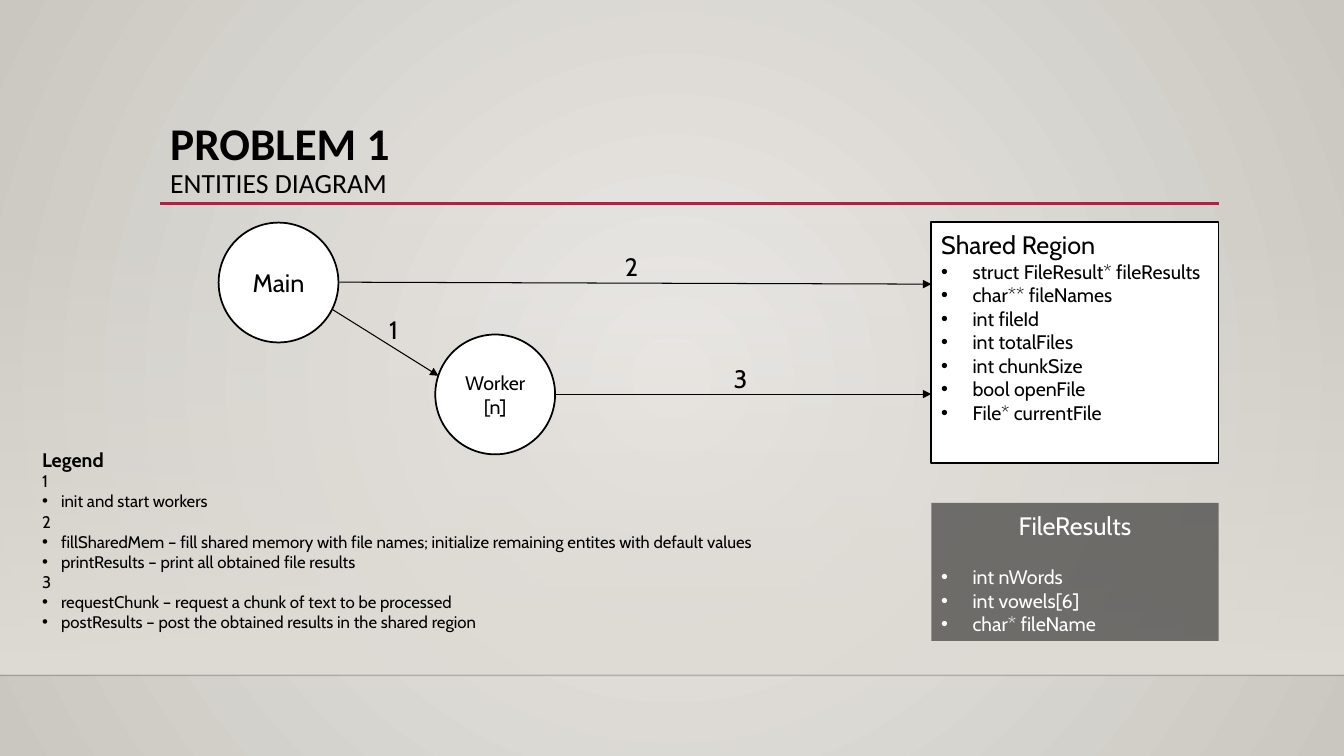
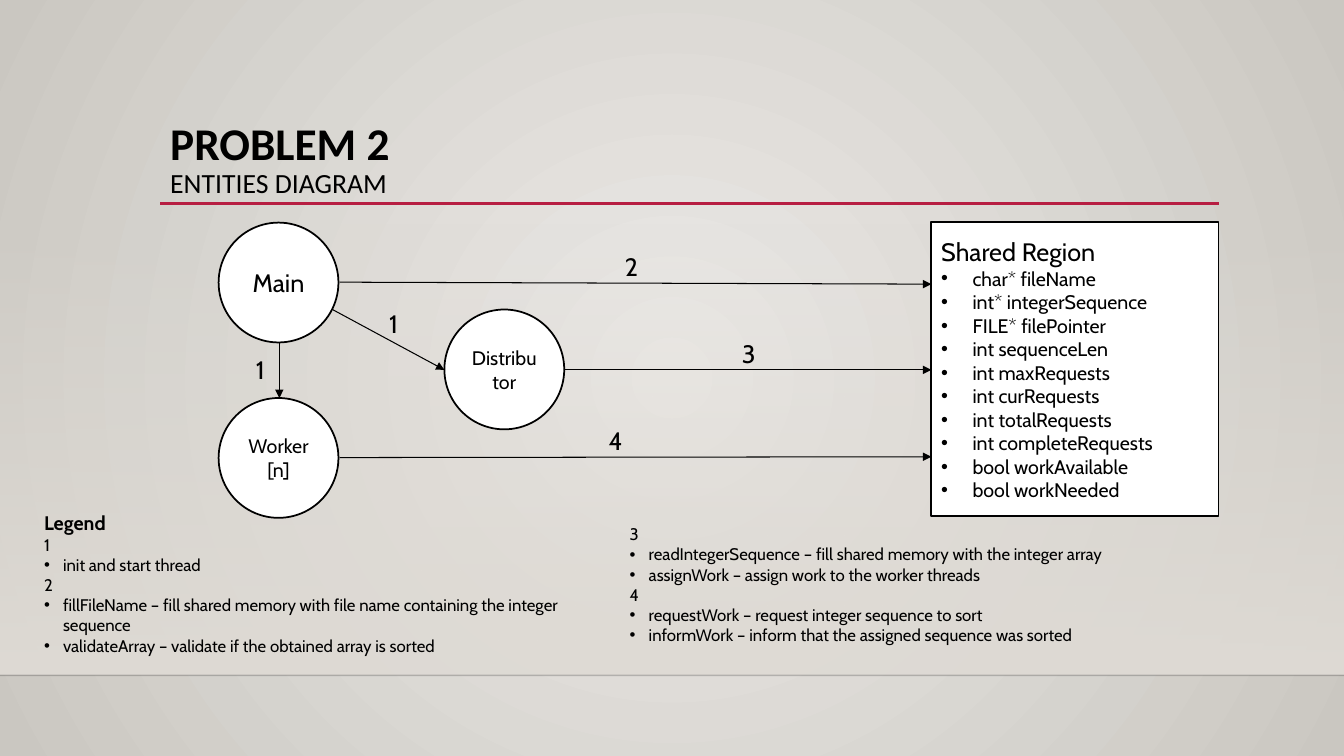
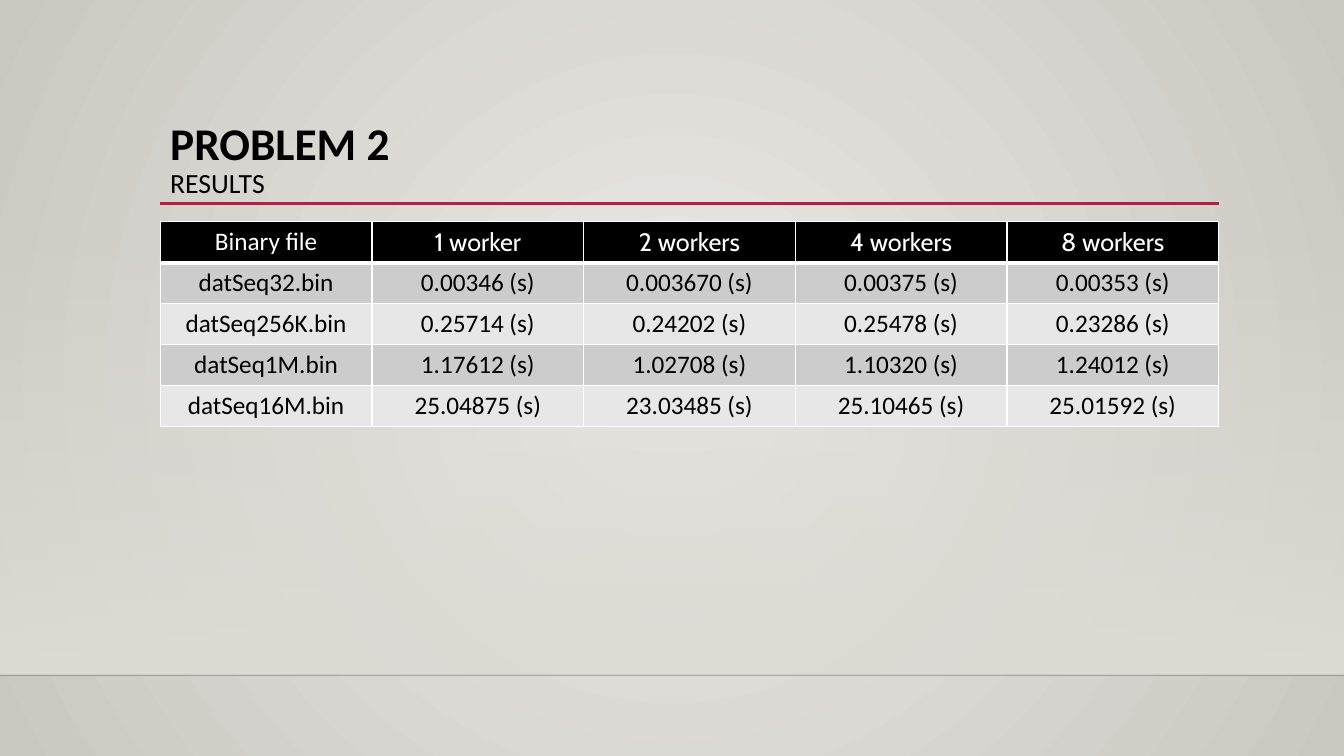
from lxml.etree import SubElement
from pptx import Presentation
from pptx.dml.color import RGBColor
from pptx.enum.shapes import MSO_CONNECTOR, MSO_SHAPE
from pptx.enum.text import MSO_ANCHOR, PP_ALIGN
from pptx.oxml.ns import qn
from pptx.util import Cm, Pt

BLACK, WHITE, RED = "000000", "FFFFFF", "B71E42"
GLOW, EDGE, FLOOR = "ECEAE7", "CAC7C1", "DFDBD5"
ROW_FILLS = ("CCCCCC", "E7E7E7")
BODY_FONT, TITLE_FONT = "Cabin", "Calibri"

WIDTH, HEIGHT = 33.87, 19.05
LEFT, CONTENT_WIDTH = 4.04, 26.67
PANEL_LEFT, PANEL_TOP, PANEL_WIDTH = 23.47, 5.59, 7.24
CIRCLE = 3.02
PANEL_INDENT, LEGEND_INDENT = 0.79, 0.48


def color(code):
    return RGBColor.from_string(code)


def set_alpha(color_element, percent):
    SubElement(color_element, qn("a:alpha"), val=str(percent * 1000))


# Text

def add_span(para, text, size, code=BLACK, bold=False, font=BODY_FONT):
    span = para.add_run()
    span.text = text
    span.font.size = Pt(size)
    span.font.name = font
    span.font.bold = bold
    span.font.color.rgb = color(code)


def add_para(frame, text, size, align=PP_ALIGN.LEFT, indent=None, **style):
    para = frame.paragraphs[0]
    if para.runs:
        para = frame.add_paragraph()
    para.alignment = align
    if indent:
        properties = para._p.get_or_add_pPr()
        properties.set("marL", str(Cm(indent)))
        properties.set("indent", str(-Cm(indent)))
        SubElement(properties, qn("a:buFont"), typeface="Arial")
        SubElement(properties, qn("a:buChar"), char="\u2022")
    add_span(para, text, size, **style)


def add_box(page, left, top, width, height):
    box = page.shapes.add_textbox(Cm(left), Cm(top), Cm(width), Cm(height))
    box.text_frame.word_wrap = True
    return box.text_frame


# Shapes and lines

def add_block(page, kind, left, top, width, height, fill=WHITE, outline=BLACK):
    block = page.shapes.add_shape(kind, Cm(left), Cm(top), Cm(width), Cm(height))
    block.shadow.inherit = False
    block.fill.solid()
    block.fill.fore_color.rgb = color(fill)
    if outline:
        block.line.color.rgb = color(outline)
        block.line.width = Pt(1.25)
    else:
        block.line.fill.background()
    block.text_frame.word_wrap = True
    block.text_frame.vertical_anchor = MSO_ANCHOR.MIDDLE
    return block


def add_line(page, start, end, code=BLACK, weight=0.75):
    line = page.shapes.add_connector(
        MSO_CONNECTOR.STRAIGHT, *(Cm(value) for value in start + end))
    line.line.color.rgb = color(code)
    line.line.width = Pt(weight)
    SubElement(line.element.spPr, qn("a:effectLst"))
    return line


def add_arrow(page, start, end):
    arrow = add_line(page, start, end)
    SubElement(arrow.element.spPr.find(qn("a:ln")), qn("a:tailEnd"), type="triangle")


def set_gradient(fill, start, end):
    fill.gradient()
    for stop, code in zip(fill.gradient_stops, (start, end)):
        stop.color.rgb = color(code)


# Shared look

def style_background(master):
    set_gradient(master.background.fill, GLOW, EDGE)
    gradient = master.element.find(".//" + qn("a:gradFill"))
    gradient.remove(gradient.find(qn("a:lin")))
    circle = SubElement(gradient, qn("a:path"), path="circle")
    center = {side: "50000" for side in "ltrb"}
    SubElement(circle, qn("a:fillToRect"), **center)


def style_layout(layout, page):
    """Draw the shared parts on a page and move them to its layout."""
    band = add_block(page, MSO_SHAPE.RECTANGLE, 0, 5.61, WIDTH, 11.4, outline=None)
    set_gradient(band.fill, FLOOR, FLOOR)
    band.fill.gradient_angle = 270
    set_alpha(band.element.find(".//" + qn("a:srgbClr")), 0)

    horizon = add_line(page, (0, 17.02), (WIDTH, 17.02), "000001", 1)
    set_alpha(horizon.element.find(".//" + qn("a:srgbClr")), 20)

    rule = add_line(page, (LEFT, 5.13), (LEFT + CONTENT_WIDTH, 5.13), RED, 2.5)
    for part in (band, horizon, rule):
        layout.shapes.element.append(part.element)


def add_title(page, title, subtitle):
    frame = add_box(page, LEFT, 2.9, CONTENT_WIDTH, 2.26)
    frame.vertical_anchor = MSO_ANCHOR.BOTTOM
    para = frame.paragraphs[0]
    para.line_spacing = 0.9
    add_span(para, title, 32.4, bold=True, font=TITLE_FONT)
    para.add_line_break()
    add_span(para, subtitle, 19.8, font=TITLE_FONT)


# Diagram parts

def add_entity(page, name, left, top, size=14):
    circle = add_block(page, MSO_SHAPE.OVAL, left, top, CIRCLE, CIRCLE)
    add_para(circle.text_frame, name, size, PP_ALIGN.CENTER)


def add_label(page, number, left, top):
    frame = add_box(page, left, top, 0.41, 1.02)
    frame.word_wrap = False
    frame.margin_left, frame.margin_right = Cm(0.13), 0
    add_para(frame, number, 18)


def add_shared_region(page, height, fields, bottom_margin=0.13):
    panel = add_block(page, MSO_SHAPE.RECTANGLE,
                      PANEL_LEFT, PANEL_TOP, PANEL_WIDTH, height)
    frame = panel.text_frame
    frame.margin_bottom = Cm(bottom_margin)
    add_para(frame, "Shared Region", 18)
    for field in fields:
        add_para(frame, field, 14, indent=PANEL_INDENT)


def add_file_results(page):
    panel = add_block(page, MSO_SHAPE.RECTANGLE, PANEL_LEFT, 12.67, PANEL_WIDTH, 3.48,
                      fill=BLACK, outline=None)
    set_alpha(panel.element.find(".//" + qn("a:srgbClr")), 50)
    heading = add_box(page, PANEL_LEFT, 12.73, PANEL_WIDTH, 1.02)
    add_para(heading, "FileResults", 18, PP_ALIGN.CENTER, code=WHITE)
    members = add_box(page, PANEL_LEFT, 14.12, PANEL_WIDTH, 2.06)
    for member in ("int nWords", "int vowels[6]", "char* fileName"):
        add_para(members, member, 14, indent=PANEL_INDENT, code=WHITE)


def add_legend(page, left, top, width, height, steps, heading=None):
    frame = add_box(page, left, top, width, height)
    if heading:
        add_para(frame, heading, 14, bold=True)
    for number, actions in steps.items():
        add_para(frame, number, 12)
        for action in actions:
            add_para(frame, action, 12, indent=LEGEND_INDENT)


# Table

def set_borders(cell, weights):
    properties = cell._tc.get_or_add_tcPr()
    for index, (side, weight) in enumerate(zip("LRTB", weights)):
        border = SubElement(properties, qn("a:ln" + side), w=str(Pt(weight)))
        fill = SubElement(border, qn("a:solidFill"))
        SubElement(fill, qn("a:srgbClr"), val=WHITE)
        properties.insert(index, border)


def add_results_table(page, rows):
    table = page.shapes.add_table(
        len(rows), len(rows[0]), Cm(LEFT), Cm(PANEL_TOP),
        Cm(CONTENT_WIDTH), Cm(1.03 * len(rows))).table
    table.first_row = table.horz_banding = False
    for row_index, values in enumerate(rows):
        header = row_index == 0
        for column_index, value in enumerate(values):
            cell = table.cell(row_index, column_index)
            cell.fill.solid()
            cell.fill.fore_color.rgb = color(
                BLACK if header else ROW_FILLS[(row_index - 1) % 2])
            add_para(cell.text_frame, value, 18, PP_ALIGN.CENTER,
                     code=WHITE if header else BLACK,
                     font=BODY_FONT if header and column_index else TITLE_FONT)
            set_borders(cell, (1, 1, 3 if row_index == 1 else 1, 3 if header else 1))


# Pages

def build_problem_1(page):
    add_title(page, "PROBLEM 1", "ENTITIES DIAGRAM")
    add_shared_region(page, 6.07, (
        "struct FileResult* fileResults", "char** fileNames", "int fileId",
        "int totalFiles", "int chunkSize", "bool openFile", "File* currentFile",
    ), bottom_margin=0.9)
    add_file_results(page)
    add_entity(page, "Main", 5.51, 5.61, 18)
    add_entity(page, "Worker[n]", 10.97, 8.43)
    add_arrow(page, (8.56, 7.11), (PANEL_LEFT, 7.16))
    add_arrow(page, (8.38, 7.8), (11.05, 9.47))
    add_arrow(page, (14.02, 9.93), (PANEL_LEFT, 9.93))
    add_label(page, "1", 9.68, 7.8)
    add_label(page, "2", 15.62, 6.2)
    add_label(page, "3", 18.36, 9.02)
    add_legend(page, 0.81, 11.15, 21.79, 4.95, {
        "1": ["init and start workers"],
        "2": ["fillSharedMem – fill shared memory with file names; "
              "initialize remaining entites with default values",
              "printResults – print all obtained file results"],
        "3": ["requestChunk – request a chunk of text to be processed",
              "postResults – post the obtained results in the shared region"],
    }, "Legend")


def build_problem_2(page):
    add_title(page, "PROBLEM 2", "ENTITIES DIAGRAM")
    add_shared_region(page, 7.42, (
        "char* fileName", "int* integerSequence", "FILE* filePointer",
        "int sequenceLen", "int maxRequests", "int curRequests",
        "int totalRequests", "int completeRequests", "bool workAvailable",
        "bool workNeeded",
    ))
    add_entity(page, "Main", 5.51, 5.61, 18)
    add_entity(page, "Distributor", 11.2, 7.8)
    add_entity(page, "Worker[n]", 5.51, 10.03)
    add_arrow(page, (8.56, 7.11), (PANEL_LEFT, 7.16))
    add_arrow(page, (8.38, 7.8), (11.2, 9.32))
    add_arrow(page, (7.04, 8.64), (7.04, 10.03))
    add_arrow(page, (14.22, 9.32), (PANEL_LEFT, 9.32))
    add_arrow(page, (8.56, 11.53), (PANEL_LEFT, 11.51))
    add_label(page, "1", 9.68, 7.65)
    add_label(page, "1", 6.32, 8.81)
    add_label(page, "2", 15.62, 6.2)
    add_label(page, "3", 18.57, 8.41)
    add_label(page, "4", 15.21, 10.59)
    add_legend(page, 0.86, 12.75, 14.81, 3.94, {
        "1": ["init and start thread"],
        "2": ["fillFileName – fill shared memory with file name "
              "containing the integer sequence",
              "validateArray – validate if the obtained array is sorted"],
    }, "Legend")
    add_legend(page, 15.62, 13.08, 14.81, 3.33, {
        "3": ["readIntegerSequence – fill shared memory with the integer array",
              "assignWork – assign work to the worker threads"],
        "4": ["requestWork – request integer sequence to sort",
              "informWork – inform that the assigned sequence was sorted"],
    })


def build_results(page):
    add_title(page, "PROBLEM 2", "RESULTS")
    add_results_table(page, (
        ("Binary file", "1 worker", "2 workers", "4 workers", "8 workers"),
        ("datSeq32.bin", "0.00346 (s)", "0.003670 (s)", "0.00375 (s)", "0.00353 (s)"),
        ("datSeq256K.bin", "0.25714 (s)", "0.24202 (s)", "0.25478 (s)", "0.23286 (s)"),
        ("datSeq1M.bin", "1.17612 (s)", "1.02708 (s)", "1.10320 (s)", "1.24012 (s)"),
        ("datSeq16M.bin", "25.04875 (s)", "23.03485 (s)", "25.10465 (s)", "25.01592 (s)"),
    ))


def main():
    deck = Presentation()
    deck.slide_width, deck.slide_height = Cm(WIDTH), Cm(HEIGHT)
    blank = deck.slide_layouts[6]
    style_background(deck.slide_master)
    pages = [deck.slides.add_slide(blank) for _ in range(3)]
    style_layout(blank, pages[0])
    for build, page in zip((build_problem_1, build_problem_2, build_results), pages):
        build(page)
    deck.save("out.pptx")


main()
